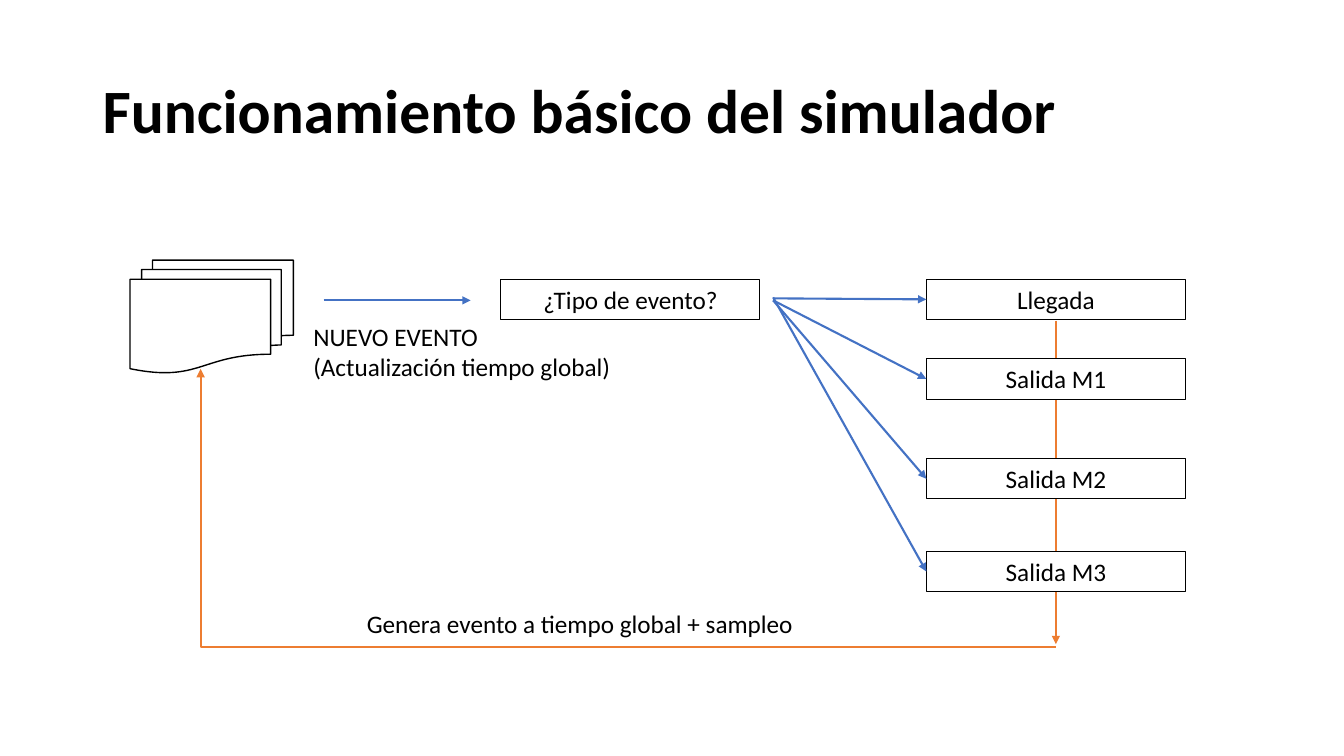
from lxml.etree import SubElement
from pptx import Presentation
from pptx.dml.color import RGBColor
from pptx.enum.shapes import MSO_CONNECTOR as LINK, MSO_SHAPE as SHAPE
from pptx.enum.text import MSO_ANCHOR as ANCHOR, MSO_AUTO_SIZE as FIT, PP_ALIGN as ALIGN
from pptx.oxml.ns import qn
from pptx.util import Inches, Pt

COLUMNS, ROWS = 133.33, 75  # grid cells of a tenth of an inch
BLACK, WHITE, BLUE, ORANGE = "000000", "FFFFFF", "4472C4", "ED7D31"
BOX_WIDTH, BOX_HEIGHT = 25.7, 4.0
FLOW_ROW = 29.8
EVENT_COLUMN, TYPE_COLUMN = 91.9, 49.7
EVENTS = [("Llegada", 27.7), ("Salida M1", 35.6), ("Salida M2", 45.5), ("Salida M3", 54.7)]


def cells(*counts):
    """Turn counts of grid cells into lengths."""
    return [Inches(count / 10) for count in counts]


def color(code):
    """Turn a hex string into a colour."""
    return RGBColor.from_string(code)


def set_all(target, values):
    """Set each attribute of target from a dict."""
    for name, value in values.items():
        setattr(target, name, value)


def write(item, lines, size=18, bold=False, align=ALIGN.LEFT, spacing=1.0, **frame_format):
    """Fill a box with one paragraph per line."""
    frame = item.text_frame
    set_all(frame, frame_format)
    frame.text = "\n".join(lines)
    for para in frame.paragraphs:
        set_all(para, {"alignment": align, "line_spacing": spacing})
        for span in para.runs:
            set_all(span.font, {"name": "Calibri", "size": Pt(size), "bold": bold})
            span.font.color.rgb = color(BLACK)


def add_label(page, area, lines, **text_format):
    """Add free text in an area of left, top, width, height."""
    write(page.shapes.add_textbox(*cells(*area)), lines, **text_format)


def add_outlined(page, kind, area, width):
    """Add a white preset shape with a black outline."""
    item = page.shapes.add_shape(kind, *cells(*area))
    item.shadow.inherit = False
    item.fill.solid()
    item.fill.fore_color.rgb = color(WHITE)
    item.line.color.rgb = color(BLACK)
    item.line.width = Pt(width)
    return item


def add_box(page, left, top, text):
    """Add a step box with centred text."""
    box = add_outlined(page, SHAPE.RECTANGLE, (left, top, BOX_WIDTH, BOX_HEIGHT), 0.75)
    write(box, [text], align=ALIGN.CENTER, word_wrap=True, vertical_anchor=ANCHOR.TOP)


def add_arrow(page, start, end, code, kind=LINK.STRAIGHT):
    """Add a line with a triangle at its end."""
    arrow = page.shapes.add_connector(kind, *cells(*start, *end))
    arrow.line.color.rgb = color(code)
    arrow.line.width = Pt(1.5)
    SubElement(arrow.line._get_or_add_ln(), qn("a:tailEnd"), type="triangle")
    SubElement(arrow._element.spPr, qn("a:effectLst"))
    return arrow


def add_return_arrow(page, corner, start):
    """Add an arrow that runs left from start, then up to the corner."""
    arrow = add_arrow(page, corner, start, ORANGE, LINK.ELBOW)
    shape_format = arrow._element.spPr
    shape_format.find(qn("a:prstGeom")).set("prst", "bentConnector2")
    shape_format.find(qn("a:xfrm")).set("rot", str(180 * 60000))


def main():
    """Build the simulator flow slide."""
    deck = Presentation()
    deck.slide_width, deck.slide_height = cells(COLUMNS, ROWS)
    page = deck.slides.add_slide(deck.slide_layouts[6])
    middle = EVENT_COLUMN + BOX_WIDTH / 2

    add_arrow(page, (middle, 31.8), (middle, 63.9), ORANGE)
    add_label(page, (9.2, 4, 115, 14.5), ["Funcionamiento básico del simulador"], size=44,
              bold=True, spacing=0.9, word_wrap=True, vertical_anchor=ANCHOR.MIDDLE)
    add_outlined(page, SHAPE.FLOWCHART_MULTIDOCUMENT, (12.9, 25.8, 16.2, 11.2), 1)
    add_arrow(page, (32.1, FLOW_ROW), (46.7, FLOW_ROW), BLUE)
    unwrapped = {"word_wrap": False, "auto_size": FIT.SHAPE_TO_FIT_TEXT}
    add_label(page, (30.1, 31.4, 31.8, 7.1),
              ["NUEVO EVENTO", "(Actualización tiempo global)"], **unwrapped)
    add_box(page, TYPE_COLUMN, EVENTS[0][1], "¿Tipo de evento?")

    for (name, top), start_row in zip(EVENTS, (29.6, FLOW_ROW, FLOW_ROW, 29.5)):
        add_box(page, EVENT_COLUMN, top, name)
        add_arrow(page, (76.7, start_row), (EVENT_COLUMN, top + BOX_HEIGHT / 2), BLUE)

    add_return_arrow(page, (19.9, 36.6), (middle, 64.2))
    add_label(page, (35.4, 59.9, 44.8, 4), ["Genera evento a tiempo global + sampleo"], **unwrapped)
    deck.save("out.pptx")


main()
